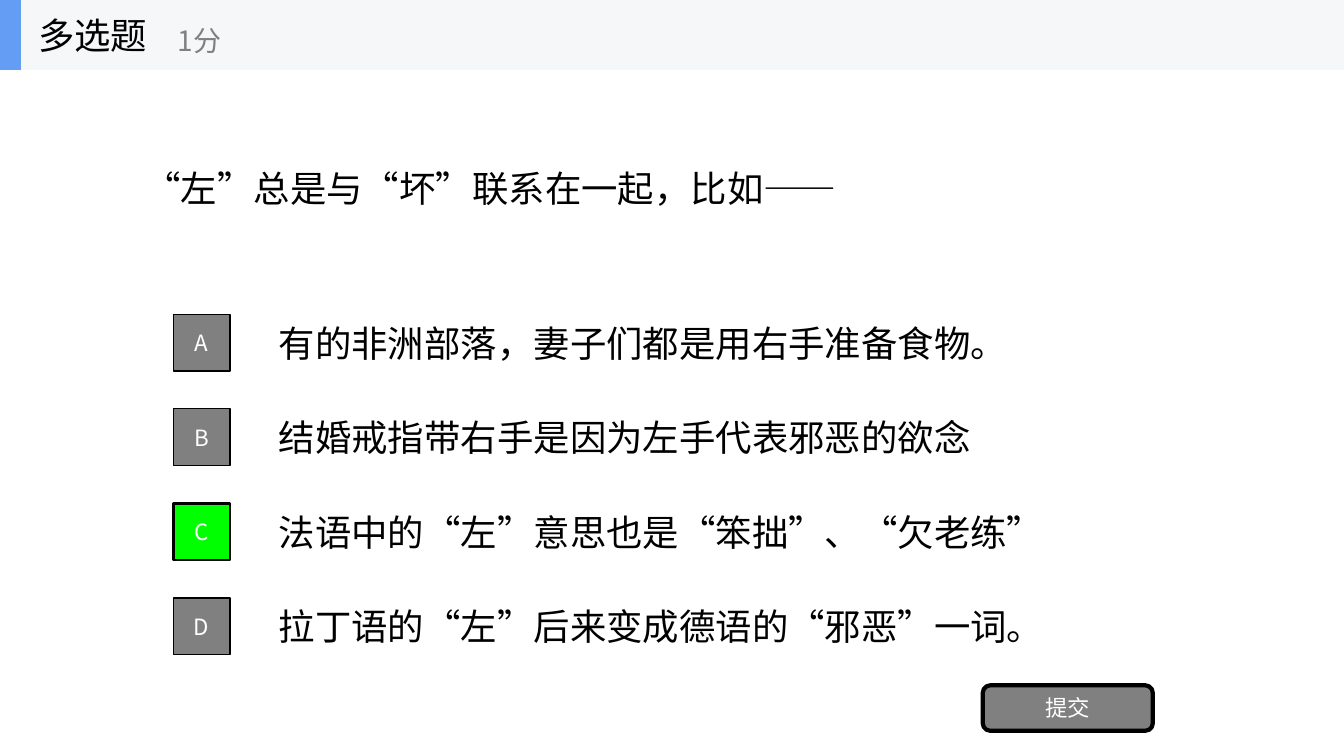
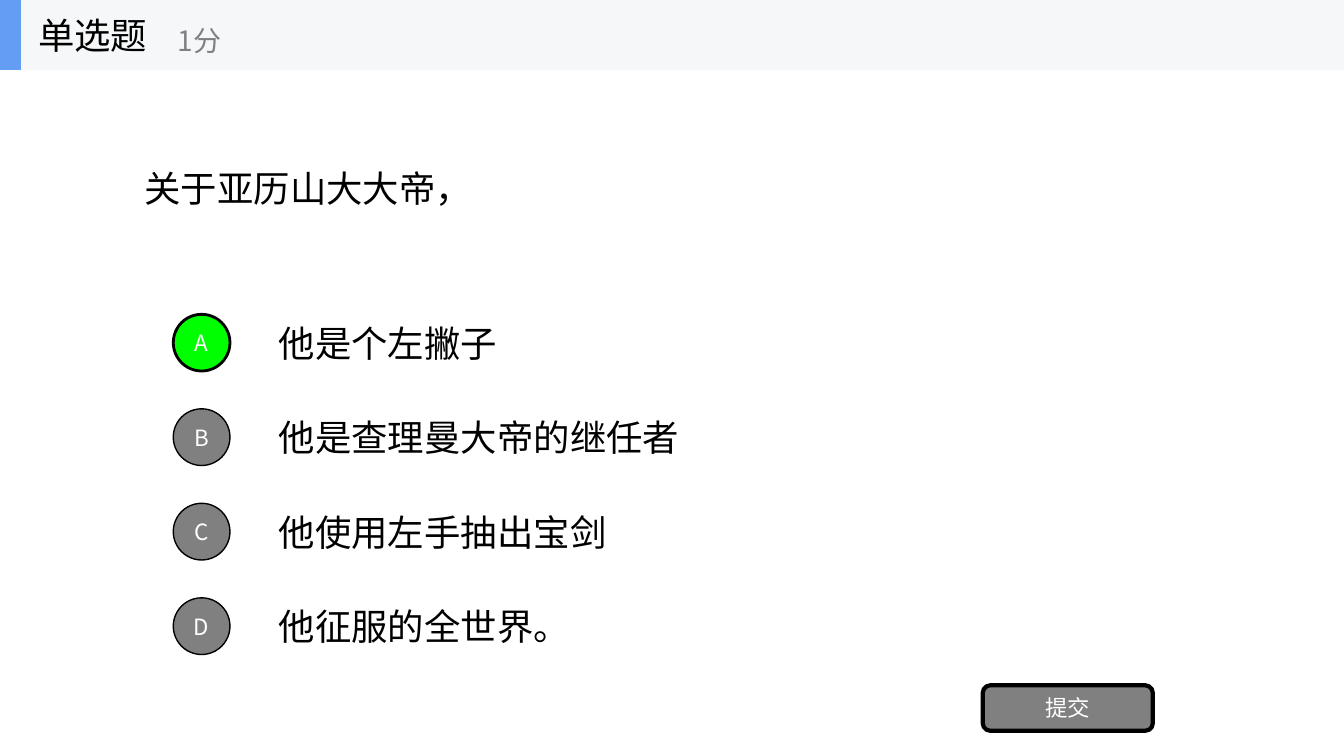
from pptx import Presentation
from pptx.dml.color import RGBColor
from pptx.enum.lang import MSO_LANGUAGE_ID as Language
from pptx.enum.shapes import MSO_SHAPE as Shape
from pptx.enum.text import MSO_ANCHOR as Anchor, MSO_AUTO_SIZE as AutoSize, PP_ALIGN as Align
from pptx.oxml.ns import qn
from pptx.util import Pt

FONT = "Noto Sans CJK SC"
COLORS = {
    "text": "000000",
    "white": "FFFFFF",
    "gray": "808080",
    "correct": "00FF00",
    "band": "F6F7F8",
    "accent": "639EF4",
}
BAND_HEIGHT = 50
OPTION_TOP, OPTION_HEIGHT, OPTION_PITCH = 219.5, 50.5, 67.5
BADGE_SIZE = 40.5

QUESTIONS = [
    {
        "kind": "多选题",
        "prompt": "“左”总是与“坏”联系在一起，比如——",
        "options": [
            "有的非洲部落，妻子们都是用右手准备食物。",
            "结婚戒指带右手是因为左手代表邪恶的欲念",
            "法语中的“左”意思也是“笨拙”、“欠老练”",
            "拉丁语的“左”后来变成德语的“邪恶”一词。",
        ],
        "correct": "C",
        "badge": Shape.RECTANGLE,
    },
    {
        "kind": "单选题",
        "prompt": "关于亚历山大大帝，",
        "options": [
            "他是个左撇子",
            "他是查理曼大帝的继任者",
            "他使用左手抽出宝剑",
            "他征服的全世界。",
        ],
        "correct": "A",
        "badge": Shape.OVAL,
    },
]


def write(box, text, size=26, color="text", align=Align.LEFT):
    """Put one formatted, vertically centred paragraph into a box."""
    frame = box.text_frame
    frame.text = text
    frame.word_wrap = True
    frame.auto_size = AutoSize.NONE
    frame.vertical_anchor = Anchor.MIDDLE
    para = frame.paragraphs[0]
    para.alignment = align
    para.space_before = Pt(0)
    span = para.runs[0]
    span.font.name = FONT
    span.font.size = Pt(size)
    span.font.color.rgb = RGBColor.from_string(COLORS[color])
    span.font.language_id = Language.SIMPLIFIED_CHINESE
    east_asian = span.font._element.makeelement(qn("a:ea"), {"typeface": FONT})
    span.font._element.find(qn("a:latin")).addnext(east_asian)


def draw(page, kind, left, top, width, height, fill, line=0):
    """Add a flat filled shape, with a black outline if line is given."""
    shape = page.shapes.add_shape(kind, Pt(left), Pt(top), Pt(width), Pt(height))
    shape.shadow.inherit = False
    shape.fill.solid()
    shape.fill.fore_color.rgb = RGBColor.from_string(COLORS[fill])
    if line:
        shape.line.color.rgb = RGBColor.from_string(COLORS["text"])
        shape.line.width = Pt(line)
    else:
        shape.line.fill.background()
    return shape


deck = Presentation()
deck.slide_width, deck.slide_height = Pt(960), Pt(540)

for question in QUESTIONS:
    page = deck.slides.add_slide(deck.slide_layouts[1])
    title, prompt = page.placeholders

    # Question text in the body placeholder, without its bullet
    prompt.left, prompt.top, prompt.width, prompt.height = Pt(96), Pt(BAND_HEIGHT), Pt(768), Pt(168)
    write(prompt, question["prompt"])
    properties = prompt.text_frame.paragraphs[0]._p.get_or_add_pPr()
    properties.set("marL", "0")
    properties.set("indent", "0")
    properties.append(properties.makeelement(qn("a:buNone"), {}))

    # Answer options with lettered badges
    for index, (letter, option) in enumerate(zip("ABCD", question["options"])):
        top = OPTION_TOP + index * OPTION_PITCH
        answer = page.shapes.add_textbox(Pt(192), Pt(top), Pt(672), Pt(OPTION_HEIGHT))
        write(answer, option)

        is_correct = letter == question["correct"]
        badge = draw(page, question["badge"], 123.75, top + (OPTION_HEIGHT - BADGE_SIZE) / 2,
                     BADGE_SIZE, BADGE_SIZE,
                     "correct" if is_correct else "gray", 2 if is_correct else 1)
        write(badge, letter, 16, "white", Align.CENTER)

    submit = draw(page, Shape.ROUNDED_RECTANGLE, 702, 489.5, 121.5, 32.5, "gray", 3)
    write(submit, "提交", 16, "white", Align.CENTER)

    # Header band, with the title raised above it
    draw(page, Shape.RECTANGLE, 0, 0, 960, BAND_HEIGHT, "band")
    draw(page, Shape.RECTANGLE, 0, 0, 15, BAND_HEIGHT, "accent")
    title.left, title.top, title.width, title.height = Pt(20), Pt(0), Pt(150), Pt(BAND_HEIGHT)
    write(title, question["kind"])
    page.shapes._spTree.append(title._element)
    score = page.shapes.add_textbox(Pt(120), Pt(9), Pt(180), Pt(40))
    write(score, "1分", 20, "gray")

deck.save("out.pptx")
